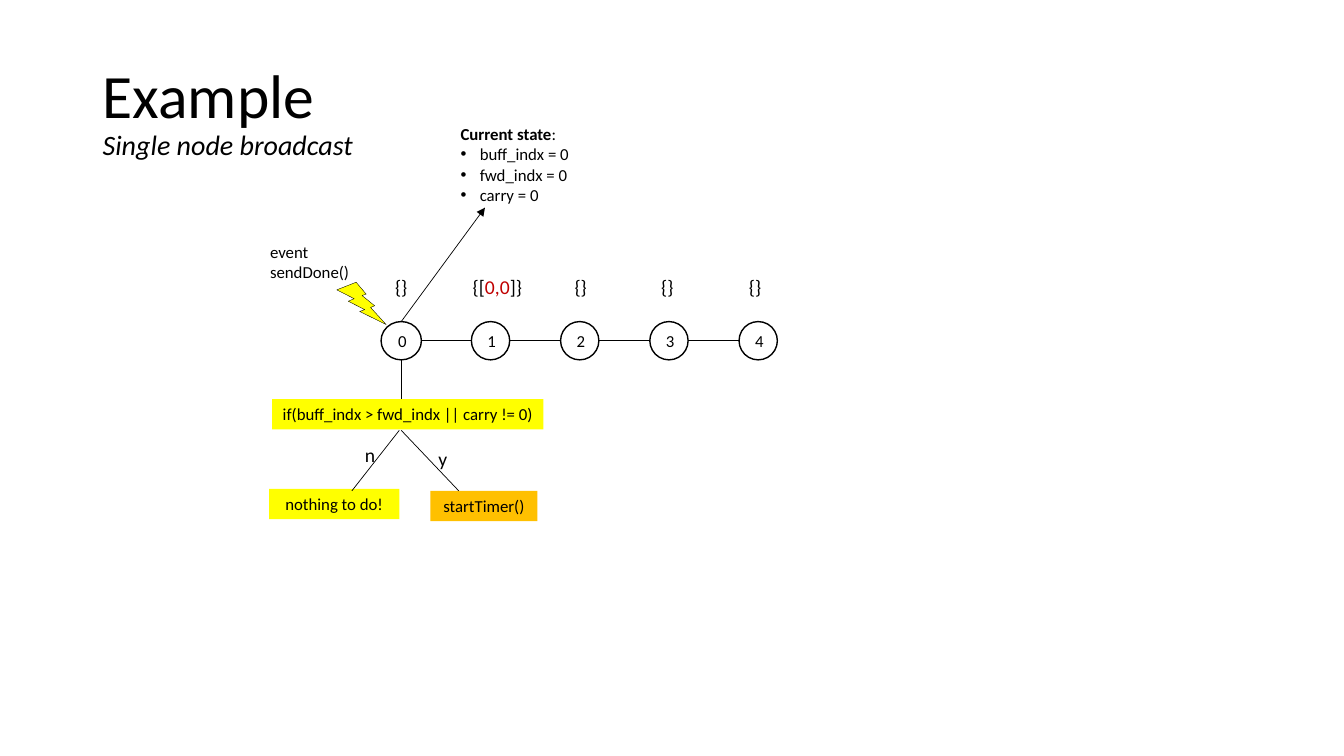
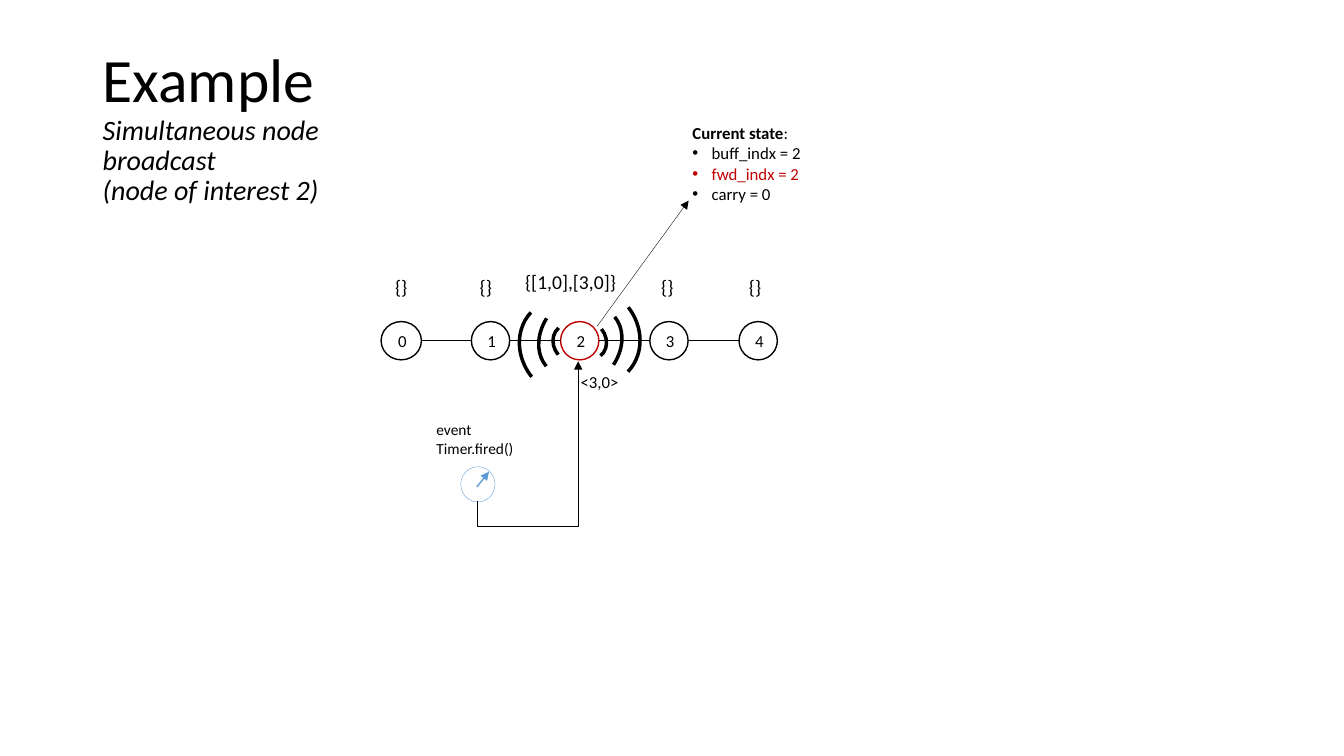
from dataclasses import dataclass

from lxml.etree import SubElement
from pptx import Presentation
from pptx.dml.color import RGBColor
from pptx.enum.shapes import MSO_CONNECTOR as Connector, MSO_SHAPE as Preset
from pptx.enum.text import MSO_ANCHOR as Anchor, MSO_AUTO_SIZE as AutoSize, PP_ALIGN as Align
from pptx.oxml.ns import qn
from pptx.util import Inches, Pt


@dataclass(frozen=True)
class Theme:
    font: str = "Calibri"
    black: str = "000000"
    white: str = "FFFFFF"
    red: str = "C00000"
    yellow: str = "FFFF00"
    orange: str = "FFC000"
    blue: str = "5B9BD5"
    title: int = 44
    subtitle: int = 20
    queue: int = 14
    body: int = 12
    small: int = 11
    hairline: float = 0.25
    thin: float = 0.5
    normal: float = 1
    wave: float = 2.5


theme = Theme()


def draw(shapes, box, paragraphs=(), preset=None, fill=None, line=None, weight=theme.normal,
         size=theme.body, color=theme.black, wrap=False, align=None, bullets_from=None,
         spacing=None, anchor=Anchor.TOP, fit=True):
    """Add a shape or text box; a paragraph is a string or a list of (text, format) runs."""
    lengths = [Inches(value) for value in box]
    if preset is None:
        shape = shapes.add_textbox(*lengths)
    else:
        shape = shapes.add_shape(preset, *lengths)
        shape.shadow.inherit = False
    if fill:
        shape.fill.solid()
        shape.fill.fore_color.rgb = RGBColor.from_string(fill)
    else:
        shape.fill.background()
    if line:
        shape.line.color.rgb = RGBColor.from_string(line)
        shape.line.width = Pt(weight)
    else:
        shape.line.fill.background()
    if not paragraphs:
        return shape

    frame = shape.text_frame
    frame.word_wrap = wrap
    frame.vertical_anchor = anchor
    frame.auto_size = AutoSize.SHAPE_TO_FIT_TEXT if fit else AutoSize.NONE
    for index, runs in enumerate(paragraphs):
        paragraph = frame.add_paragraph() if index else frame.paragraphs[0]
        paragraph.alignment = align or Align.LEFT
        if spacing:
            paragraph.line_spacing = spacing
        if bullets_from is not None and index >= bullets_from:
            properties = paragraph._p.get_or_add_pPr()
            properties.set("marL", str(Inches(0.19)))
            properties.set("indent", str(-Inches(0.19)))
            SubElement(properties, qn("a:buFont")).set("typeface", "Arial")
            SubElement(properties, qn("a:buChar")).set("char", "•")
        for text, style in [(runs, {})] if isinstance(runs, str) else runs:
            run = paragraph.add_run()
            run.text = text
            run.font.name = theme.font
            run.font.size = Pt(style.get("size", size))
            run.font.bold = style.get("bold", False)
            run.font.italic = style.get("italic", False)
            run.font.color.rgb = RGBColor.from_string(style.get("color", color))
    return shape


def connect(shapes, start, end, weight=theme.normal, color=theme.black, arrow=False,
            kind=Connector.STRAIGHT):
    connector = shapes.add_connector(kind, *[Inches(value) for value in (*start, *end)])
    connector.line.color.rgb = RGBColor.from_string(color)
    connector.line.width = Pt(weight)
    if arrow:
        SubElement(connector.line._get_or_add_ln(), qn("a:tailEnd")).set("type", "triangle")
    SubElement(connector._element.spPr, qn("a:effectLst"))
    return connector


presentation = Presentation()
presentation.slide_width, presentation.slide_height = Inches(13.33), Inches(7.5)

# What differs between the two states of the node chain
red = {"color": theme.red}
states = [
    dict(
        title_size=(3.27, 1.45), subtitles=["Single node broadcast"], active_node=None,
        queues=[(3.82, 2.68, 0.4, "{}"),
                (4.59, 2.68, 0.72, [("{[", {}), ("0,0", red), ("]}", {})]),
                (5.6, 2.68, 0.4, "{}"), (6.46, 2.68, 0.4, "{}"), (7.33, 2.68, 0.4, "{}")],
        state_at=(4.47, 1.18), variables=["buff_indx = 0", "fwd_indx = 0", "carry = 0"],
        pointer=((3.98, 3.19), (4.81, 2.06)), pointer_weight=theme.thin,
    ),
    dict(
        title_size=(3.49, 1.74),
        subtitles=["Simultaneous node broadcast", "(node of interest 2)"], active_node=2,
        queues=[(3.82, 2.68, 0.4, "{}"), (4.66, 2.68, 0.37, "{}"),
                (5.11, 2.63, 1.16, "{[1,0],[3,0]}"),
                (6.46, 2.68, 0.4, "{}"), (7.33, 2.68, 0.4, "{}")],
        state_at=(6.77, 1.17),
        variables=["buff_indx = 2", [("fwd_indx = 2", red)], "carry = 0"],
        pointer=((5.92, 3.24), (6.83, 1.99)), pointer_weight=theme.hairline,
    ),
]

# Node chain: five centres at an equal pitch
first_center, last_center, chain_y = 3.98, 7.52, 3.38
pitch = (last_center - first_center) / 4
centers = [first_center + pitch * node for node in range(5)]
radii = [0.2] + [0.19] * 4

slides = []
for state in states:
    slide = presentation.slides.add_slide(presentation.slide_layouts[6])
    slides.append(slide)
    shapes = slide.shapes

    # Title and subtitle
    subtitle_style = {"size": theme.subtitle, "italic": True}
    draw(shapes, (0.92, 0.4, *state["title_size"]),
         ["Example"] + [[(line, subtitle_style)] for line in state["subtitles"]],
         size=theme.title, wrap=True, spacing=0.9, anchor=Anchor.MIDDLE, fit=False)

    # Nodes, links, and numbers
    for node, (center, radius) in enumerate(zip(centers, radii)):
        draw(shapes, (center - radius, 3.19, 2 * radius, 0.38), preset=Preset.OVAL,
             fill=theme.white,
             line=theme.red if node == state["active_node"] else theme.black)
        draw(shapes, (center - 0.13, 3.23, 0.26, 0.3), [str(node)])
    for node in range(4):
        connect(shapes, (centers[node] + radii[node], chain_y),
                (centers[node + 1] - radii[node + 1], chain_y))

    # Queue above each node
    for left, top, width, queue in state["queues"]:
        draw(shapes, (left, top, width, 0.34), [queue], size=theme.queue)

    # Current state and its pointer
    connect(shapes, *state["pointer"], weight=state["pointer_weight"], arrow=True)
    draw(shapes, (*state["state_at"], 1.33, 0.91),
         [[("Current state", {"bold": True}), (":", {})], *state["variables"]],
         wrap=True, bullets_from=1)

single, simultaneous = [slide.shapes for slide in slides]

# Slide 1: sendDone event
draw(single, (3.34, 2.8, 0.49, 0.42), preset=Preset.LIGHTNING_BOLT, fill=theme.yellow,
     line=theme.black, weight=theme.hairline)
draw(single, (2.58, 2.35, 1.02, 0.5), ["event sendDone()"], wrap=True)

# Slide 1: decision and its two branches
connect(single, (3.98, 3.57), (3.98, 3.96))
for left, top, width, fill, step in [
    (2.7, 3.96, 2.69, theme.yellow, "if(buff_indx > fwd_indx || carry != 0)"),
    (2.67, 4.85, 1.29, theme.yellow, "nothing to do!"),
    (4.27, 4.87, 1.06, theme.orange, "startTimer()"),
]:
    draw(single, (left, top, width, 0.3), [step], preset=Preset.RECTANGLE, fill=fill,
         align=Align.CENTER)
for start_x, end_x, left, top, answer in [(3.96, 3.49, 3.52, 4.34, "n"),
                                          (3.98, 4.55, 4.25, 4.38, "y")]:
    connect(single, (start_x, 4.27), (end_x, 4.87), weight=theme.thin)
    draw(single, (left, top, 0.23, 0.34), [answer], size=theme.queue)

# Slide 2: radio waves on both sides of node 2
wave_angles = [(163.11, 212.75), (162, 199.34), (162, 0)]
for rotation, boxes in [
    (50.8, [(5.36, 2.87, 1.02, 0.91), (5.32, 2.96, 0.78, 1), (5.63, 3.2, 0.4, 0.35)]),
    (229.7, [(5.12, 3, 1.02, 0.91), (5.41, 2.81, 0.78, 1), (5.47, 3.23, 0.4, 0.35)]),
]:
    waves = simultaneous.add_group_shape()
    for box, angles in zip(boxes, wave_angles):
        arc = draw(waves.shapes, box, preset=Preset.ARC, line=theme.black, weight=theme.wave)
        arc.rotation = rotation
        arc.adjustments[0], arc.adjustments[1] = angles
draw(simultaneous, (5.66, 3.64, 0.61, 0.3), ["<3,0>"])

# Slide 2: timer clock and event
clock = simultaneous.add_group_shape()
draw(clock.shapes, (4.57, 4.63, 0.34, 0.35), preset=Preset.OVAL, fill=theme.white,
     line=theme.blue, weight=theme.hairline)
connect(clock.shapes, (4.73, 4.83), (4.85, 4.68), color=theme.blue, arrow=True)
draw(simultaneous, (4.23, 4.12, 0.99, 0.47), ["event Timer.fired()"], size=theme.small,
     wrap=True)

# Slide 2: elbow from the clock up to node 2, turned a quarter so it leaves downwards
elbow = connect(simultaneous, (5.93, 4.78), (4.54, 3.78), weight=theme.thin, arrow=True,
                kind=Connector.ELBOW)
properties = elbow._element.spPr
properties.find(qn("a:xfrm")).set("rot", str(90 * 60000))
bend = SubElement(properties.find(qn("a:prstGeom")).find(qn("a:avLst")), qn("a:gd"))
bend.set("name", "adj1")
bend.set("fmla", "val -18000")

presentation.save("out.pptx")
